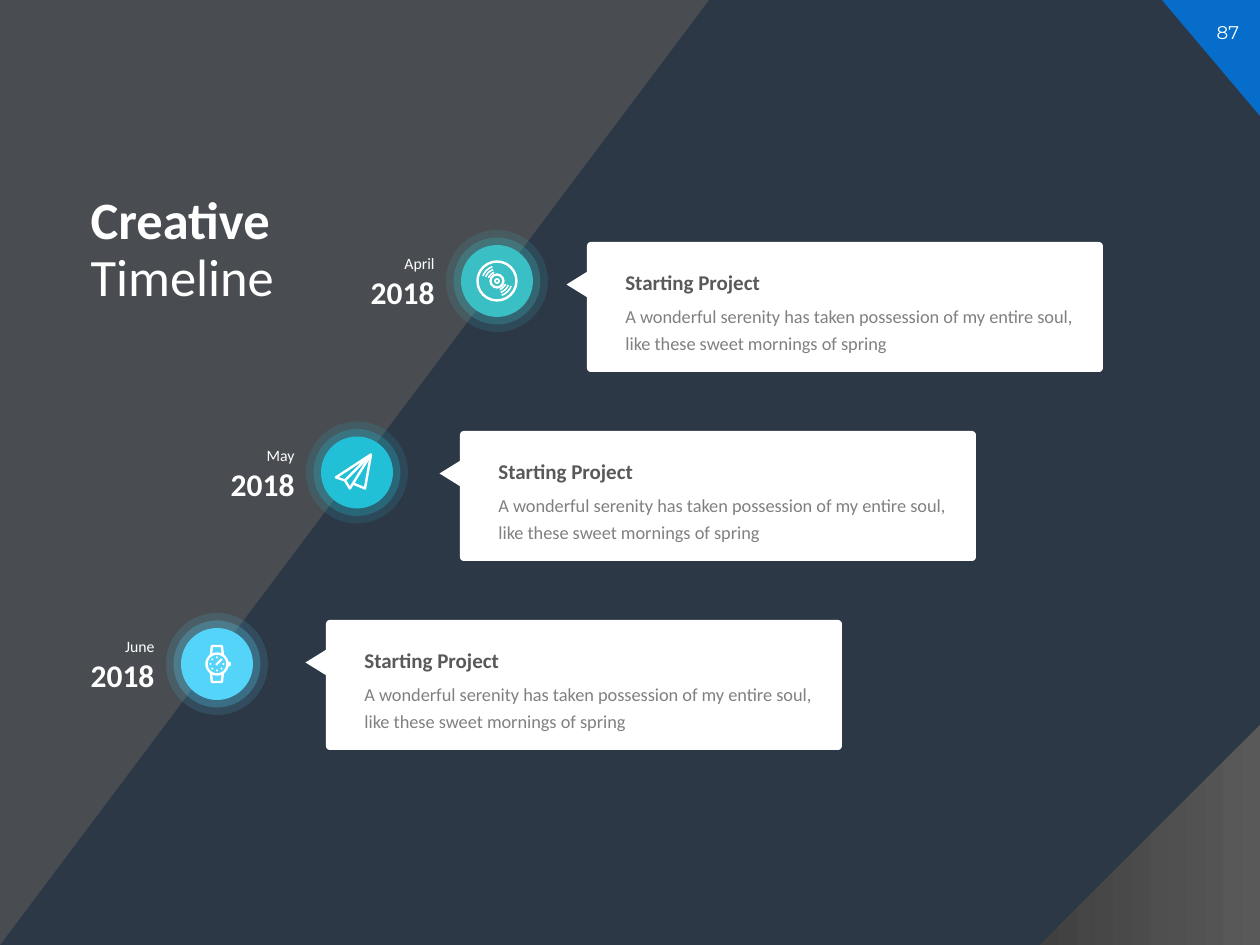
from math import cos, sin, radians
from pptx import Presentation
from pptx.dml.color import RGBColor
from pptx.enum.shapes import MSO_SHAPE
from pptx.enum.text import MSO_ANCHOR, MSO_AUTO_SIZE, PP_ALIGN
from pptx.oxml import parse_xml
from pptx.oxml.ns import nsdecls, qn
from pptx.util import Pt

PX = 914400 / 126


class Theme:
    font, number_font = "Calibri", "Montserrat"
    back, corner, white = "2D3847", "066DCA", "FFFFFF"
    dark, darker, grey = "595959", "404040", "808080"
    april, may, june = "3ABFC4", "21C0D7", "55D4FA"
    title, year, head, body, month = 30, 18, 12, 10.5, 9


deck = Presentation()
deck.slide_width, deck.slide_height = round(1260 * PX), round(945 * PX)
slide = deck.slides.add_slide(deck.slide_layouts[5])
shapes = slide.shapes
slide.background.fill.solid()
slide.background.fill.fore_color.rgb = RGBColor.from_string(Theme.back)


def draw(kind, x, y, w=0, h=0, fill=None, alpha=None, line=None, turn=0, adjust=()):
    """Draw a preset shape, or an open outline when kind is a list of points around x, y."""
    if isinstance(kind, list):
        points = [(round((x + a) * PX), round((y + b) * PX)) for a, b in kind]
        path = shapes.build_freeform(*points[0], scale=1.0)
        path.add_line_segments(points[1:], close=False)
        shape = path.convert_to_shape()
    else:
        shape = shapes.add_shape(kind, *(round(v * PX) for v in (x, y, w, h)))
    shape.shadow.inherit = False
    shape.rotation = turn
    for i, value in enumerate(adjust):
        shape.adjustments[i] = value
    if fill:
        shape.fill.solid()
        shape.fill.fore_color.rgb = RGBColor.from_string(fill)
    else:
        shape.fill.background()
    if alpha:
        color = shape._element.spPr.find(".//" + qn("a:srgbClr"))
        color.append(parse_xml(f'<a:alpha {nsdecls("a")} val="{alpha * 1000}"/>'))
    if line:
        shape.line.color.rgb = RGBColor.from_string(Theme.white)
        shape.line.width = Pt(line)
    else:
        shape.line.fill.background()
    return shape


def write(text, x, y, w, h, size, color=Theme.white, bold=False, light="",
          align=PP_ALIGN.LEFT, space=None, font=Theme.font, box=None,
          anchor=MSO_ANCHOR.TOP):
    """Write text in a new box or the given one; light adds a second, regular run."""
    left, top, wide, high = (round(v * PX) for v in (x, y, w, h))
    box = box or shapes.add_textbox(left, top, wide, high)
    box.left, box.top, box.width, box.height = left, top, wide, high
    frame = box.text_frame
    frame.word_wrap = True
    frame.auto_size = MSO_AUTO_SIZE.NONE
    frame.vertical_anchor = anchor
    para = frame.paragraphs[0]
    para.alignment = align
    if space:
        para.line_spacing = space
    for part, heavy in ((text, bold), (light, False)):
        if part:
            run = para.add_run()
            run.text = part
            run.font.name, run.font.size, run.font.bold = font, Pt(size), heavy
            run.font.color.rgb = RGBColor.from_string(color)


# Corners and title
draw(MSO_SHAPE.RIGHT_TRIANGLE, 1162, 0, 98, 116, Theme.corner, turn=180)
write("87", 1196, 15, 64, 35, 10.5, align=PP_ALIGN.CENTER, font=Theme.number_font)
draw(MSO_SHAPE.RIGHT_TRIANGLE, -118, 118, 945, 709, Theme.dark, alpha=66, turn=90)
fade = draw(MSO_SHAPE.RIGHT_TRIANGLE, 1040, 725, 220, 220)
fade._element.spPr.xfrm.set("flipH", "1")
fade.fill.gradient()
fade.fill.gradient_angle = 0
for stop, color in zip(fade.fill.gradient_stops, (Theme.dark, Theme.darker)):
    stop.color.rgb = RGBColor.from_string(color)
title = shapes.title
shapes._spTree.append(title._element)
write("Creative ", 78, 190, 325, 122, Theme.title, bold=True, light="Timeline",
      space=0.9, box=title, anchor=MSO_ANCHOR.MIDDLE)

# Milestones
steps = [("April", Theme.april, 587), ("May", Theme.may, 460), ("June", Theme.june, 326)]
spots = [(497 - 140 * i, 281 + 191.5 * i) for i in range(len(steps))]
for i, ((month, color, left), (cx, cy)) in enumerate(zip(steps, spots)):
    top = 242 + 189 * i
    draw(MSO_SHAPE.ROUNDED_RECTANGLE, left, top, 516, 130, Theme.white, adjust=[0.03])
    draw(MSO_SHAPE.ISOSCELES_TRIANGLE, left - 23, top + 32, 26, 21, Theme.white, turn=270)
    write("Starting Project", left + 26, top + 21, 263, 38, Theme.head, Theme.dark, bold=True)
    write("A wonderful serenity has taken possession of my entire soul, "
          "like these sweet mornings of spring",
          left + 26, top + 53, 483, 67, Theme.body, Theme.grey, space=1.2)
    write("2018", cx - 214, cy - 14, 164, 50, Theme.year, bold=True, align=PP_ALIGN.RIGHT)
    write(month, cx - 200, cy - 37, 150, 35, Theme.month, align=PP_ALIGN.RIGHT, space=1.2)
    for r, alpha in ((51, 13), (43.5, 25), (36, None)):
        draw(MSO_SHAPE.OVAL, cx - r, cy - r, 2 * r, 2 * r, color, alpha)

# Disc icon
cx, cy = spots[0]
for r, line in ((19.5, 1.4), (6.5, 1.3), (2, 1)):
    draw(MSO_SHAPE.OVAL, cx - r, cy - r, 2 * r, 2 * r, line=line)
for r in (9, 12, 15):
    for start in (20, 200):
        draw(MSO_SHAPE.ARC, cx - r, cy - r, 2 * r, 2 * r, line=0.9,
             adjust=[start * 0.6, (start + 52) * 0.6])

# Paper plane icon
tip, fold, notch = (14, -18), (-12, 8), (-4, 11)
for points in ([tip, (-21, 5), fold, tip], [fold, (-7, 16), notch, tip],
               [notch, (8, 16), tip]):
    draw(points, *spots[1], line=1.4)

# Watch icon
cx, cy = spots[2]
draw(MSO_SHAPE.OVAL, cx - 10.5, cy - 10.5, 21, 21, line=1.4)
draw(MSO_SHAPE.OVAL, cx + 10, cy - 2.5, 4, 5, Theme.white)
for side in (-1, 1):
    draw([(-6, 9 * side), (-5, 18 * side), (5, 18 * side), (6, 9 * side)], cx, cy, line=1.4)
for angle in range(0, 315, 45):
    x, y = cx + 6.5 * cos(radians(angle)), cy + 6.5 * sin(radians(angle))
    draw(MSO_SHAPE.OVAL, x - 1, y - 1, 2, 2, Theme.white)
draw([(-1, 1), (5, -5)], cx, cy, line=1.2)

deck.save("out.pptx")
